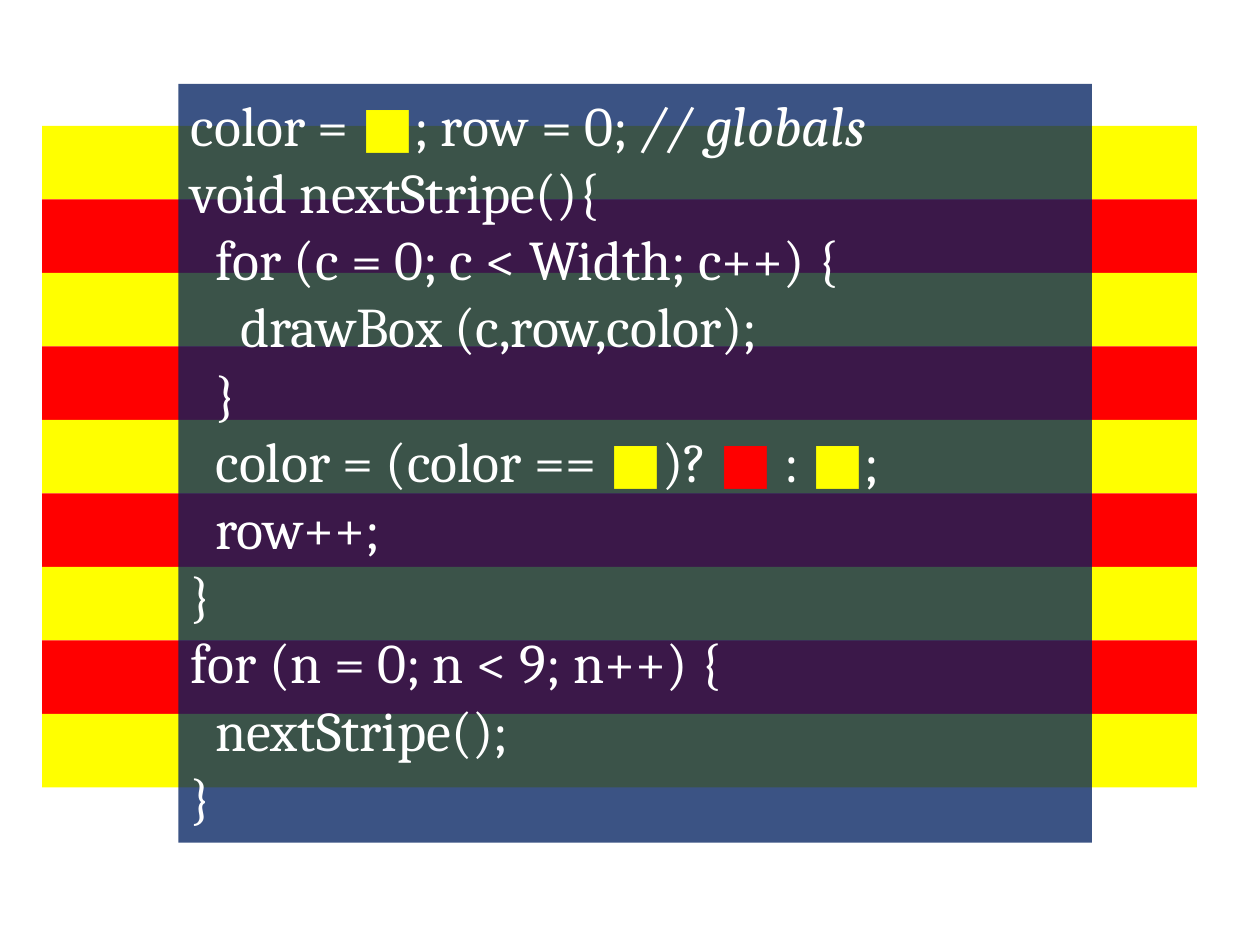
from lxml.etree import SubElement
from pptx import Presentation
from pptx.dml.color import RGBColor
from pptx.enum.shapes import MSO_SHAPE as SHAPE
from pptx.enum.text import MSO_ANCHOR as ANCHOR, MSO_AUTO_SIZE as AUTO, PP_ALIGN as ALIGN
from pptx.oxml.ns import qn
from pptx.util import Inches, Pt

COLORS = {"yellow": "FFFF00", "red": "FF0000", "navy": "002060", "white": "FFFFFF"}
UNIT = 1 / 12  # grid step in inches
STRIPES = 9

# Each line is a list of (text, colour) pieces; "\n" is a break within a paragraph.
YELLOW_BOX = ("■", "yellow")
RED_BOX = ("■", "red")
CODE = [
    [("color = ", "white"), YELLOW_BOX, ("; row = 0; ", "white"), ("// globals", "white")],
    [("void nextStripe(){", "white")],
    [("  for (c = 0; c < Width; c++) {", "white")],
    [("    drawBox (c,row,color);", "white")],
    [("  }", "white")],
    [("  color = (color == ", "white"), YELLOW_BOX, (")? ", "white"), RED_BOX,
     (" : ", "white"), YELLOW_BOX, (";", "white"), ("\n", None), ("  row++;", "white")],
    [("}", "white")],
    [("for (n = 0; n < 9; n++) {", "white")],
    [("  nextStripe();", "white")],
    [("}", "white")],
]


class StripeSlide:
    def __init__(self, prs, font="Cambria", size=32):
        self.slide = prs.slides.add_slide(prs.slide_layouts[6])
        self.font, self.size = font, size

    def rect(self, col, row, cols, rows, color, alpha=None):
        """Add a plain rectangle placed in grid units; alpha is opacity in percent."""
        box = [Inches(n * UNIT) for n in (col, row, cols, rows)]
        sp = self.slide.shapes.add_shape(SHAPE.RECTANGLE, *box)
        sp.shadow.inherit = False
        sp.line.fill.background()
        sp.fill.solid()
        sp.fill.fore_color.rgb = RGBColor.from_string(COLORS[color])
        if alpha is not None:
            clr = sp._element.spPr.find(qn("a:solidFill"))[0]
            SubElement(clr, qn("a:alpha"), val=str(alpha * 1000))
        return sp

    def code(self, sp, lines):
        tf = sp.text_frame
        tf.word_wrap = True
        tf.auto_size = AUTO.SHAPE_TO_FIT_TEXT
        tf.vertical_anchor = ANCHOR.TOP
        for i, pieces in enumerate(lines):
            p = tf.add_paragraph() if i else tf.paragraphs[0]
            p.alignment = ALIGN.LEFT
            p.font.size = Pt(self.size)
            for text, color in pieces:
                if text == "\n":
                    p.add_line_break()
                    continue
                r = p.add_run()
                r.text = text
                r.font.name = self.font
                r.font.size = Pt(self.size)
                r.font.italic = text.startswith("//")
                r.font.color.rgb = RGBColor.from_string(COLORS[color])


def main():
    prs = Presentation()
    prs.slide_width, prs.slide_height = Inches(10), Inches(7.5)
    s = StripeSlide(prs)
    for n in range(STRIPES):
        s.rect(4, 12 + 7 * n, 110, 7, ("yellow", "red")[n % 2])
    panel = s.rect(17, 8, 87, 72.25, "navy", alpha=77)
    s.code(panel, CODE)
    prs.save("out.pptx")


if __name__ == "__main__":
    main()
